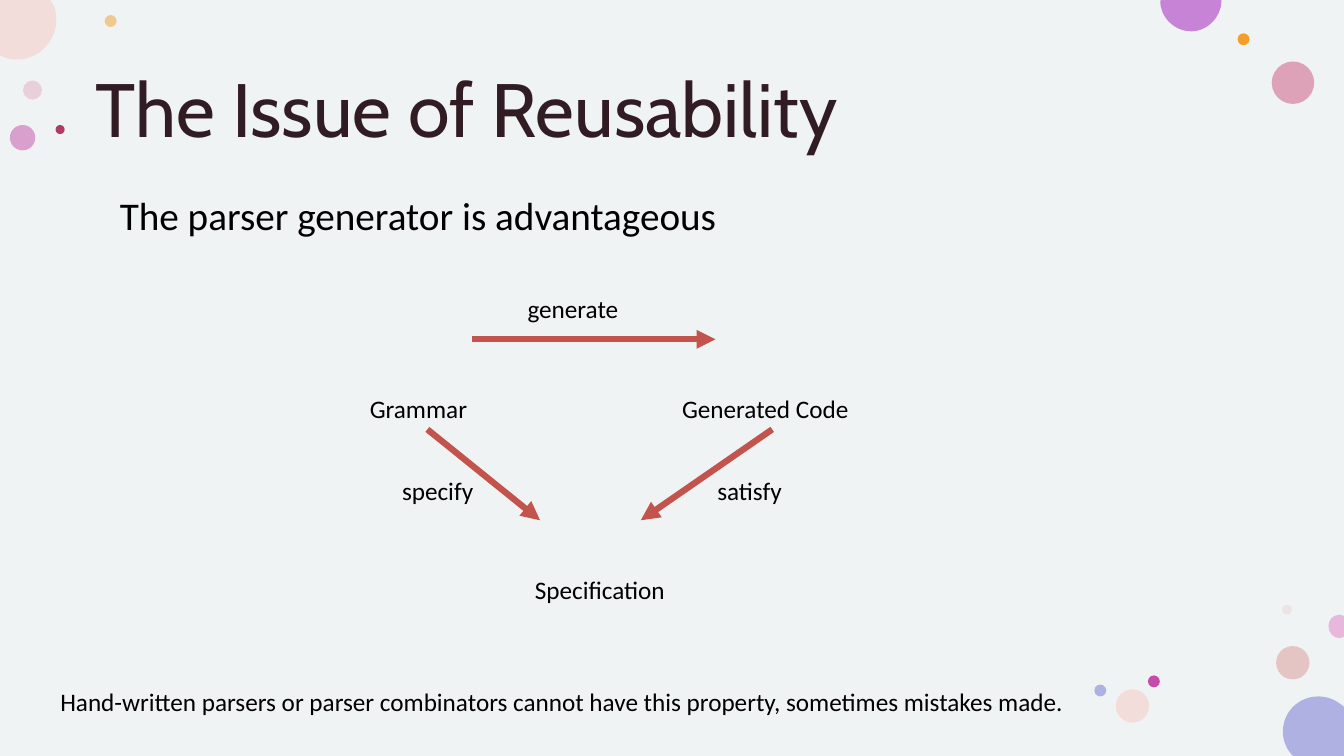
from lxml import etree
from pptx import Presentation
from pptx.dml.color import RGBColor
from pptx.enum.shapes import MSO_CONNECTOR, MSO_SHAPE
from pptx.enum.text import MSO_ANCHOR, PP_ALIGN
from pptx.oxml.ns import qn
from pptx.util import Cm, Pt

OVAL, RECT = MSO_SHAPE.OVAL, MSO_SHAPE.RECTANGLE
LINE = MSO_CONNECTOR.STRAIGHT
MID, TOP = MSO_ANCHOR.MIDDLE, MSO_ANCHOR.TOP
LEFT, CENTER = PP_ALIGN.LEFT, PP_ALIGN.CENTER

# Content, lengths in cm
WIDE, HIGH = 33.87, 19.05
BACK, RED = "F0F3F3", "C3544D"
TITLE = "The Issue of Reusability"
LEAD = "The parser generator is advantageous"
NOTE = ("Hand-written parsers or parser combinators cannot have this property, "
        "sometimes mistakes made.")
# Nodes: text, left, top, width
NODES = [
    ("Grammar", 9.07, 9.78, 3.38),
    ("Generated Code", 16.94, 9.78, 5.05),
    ("Specification", 13.23, 14.35, 4.65),
    (NOTE, 1.27, 17.17, 27.25),
]
# Links: label, label left, top, width, arrow start, arrow end
LINKS = [
    ("generate", 13.03, 7.26, 2.82, (11.89, 8.55), (18.03, 8.55)),
    ("specify", 9.86, 11.86, 2.34, (10.77, 10.82), (13.61, 13.11)),
    ("satisfy", 17.81, 11.86, 2.16, (19.46, 10.82), (16.15, 13.11)),
]
# Dots: left, top, size, colour, opacity in percent
DOTS = [
    (0.58, 2.03, 0.48, "E4ADC0", 50),
    (2.64, 0.38, 0.3, "F39E29", 50),
    (32.16, 16.28, 0.84, "DB9894", 50),
    (0.25, 3.15, 0.64, "C34DA8", 50),
    (32.05, 1.55, 1.07, "D684A1", 72),
    (31.19, 0.84, 0.3, "F39E29", 100),
    (32.31, 15.24, 0.25, "E3BEBE", 28),
    (28.93, 17.02, 0.3, "C34DA8", 100),
    (28.12, 17.37, 0.84, "F3DDDB", 100),
    (27.58, 17.25, 0.3, "B0B1E3", 100),
    (1.4, 3.15, 0.23, "B13B65", 100),
]
# Dots cut by the slide edge: colour, start, then steps;
# a step of one point is a line, one of three points a curve
CUTS = [
    ("B0B1E3", (33.22, 17.55), [
        [(33.48, 17.55), (33.68, 17.65), (33.87, 17.81)],
        [(33.87, 19.05)], [(32.59, 19.05)], [(32.54, 19)],
        [(32.41, 18.85), (32.33, 18.64), (32.33, 18.44)],
        [(32.33, 17.93), (32.74, 17.55), (33.22, 17.55)]]),
    ("F3DDDB", (0, 0), [
        [(1.27, 0)], [(1.35, 0.13)],
        [(1.4, 0.23), (1.42, 0.36), (1.42, 0.51)],
        [(1.42, 1.04), (0.97, 1.5), (0.43, 1.5)],
        [(0.28, 1.5), (0.15, 1.47), (0.05, 1.42)], [(0, 1.4)]]),
    ("C784D6", (29.26, 0), [
        [(30.78, 0)], [(30.78, 0.03)],
        [(30.78, 0.43), (30.43, 0.79), (30.02, 0.79)],
        [(29.59, 0.79), (29.24, 0.43), (29.24, 0.03)]]),
    ("E7B8DC", (33.76, 15.49), [
        [(33.87, 15.52)], [(33.87, 16.05)], [(33.76, 16.08)],
        [(33.6, 16.08), (33.48, 15.95), (33.48, 15.77)],
        [(33.48, 15.62), (33.6, 15.49), (33.76, 15.49)]]),
]

deck = Presentation()
deck.slide_width, deck.slide_height = Cm(WIDE), Cm(HIGH)
slide = deck.slides.add_slide(deck.slide_layouts[6])
shapes = slide.shapes


def tint(form, code):
    form.solid()
    form.fore_color.rgb = RGBColor.from_string(code)


def write(text, x, y, w, h=1.02, size=18, font="Calibri", color="000000",
          align=LEFT, anchor=TOP, wrap=True, space=1.0):
    frame = shapes.add_textbox(Cm(x), Cm(y), Cm(w), Cm(h)).text_frame
    frame.word_wrap = wrap
    frame.vertical_anchor = anchor
    para = frame.paragraphs[0]
    para.alignment = align
    para.line_spacing = space
    run = para.add_run()
    run.text = text
    run.font.size, run.font.name = Pt(size), font
    run.font.color.rgb = RGBColor.from_string(color)


def paint(shape, color, alpha=100):
    shape.shadow.inherit = False
    shape.line.fill.background()
    tint(shape.fill, color)
    if alpha < 100:
        tone = shape.fill._xPr.find(".//" + qn("a:srgbClr"))
        etree.SubElement(tone, qn("a:alpha"), val=str(alpha * 1000))


def block(kind, x, y, w, h, color, alpha=100):
    paint(shapes.add_shape(kind, Cm(x), Cm(y), Cm(w), Cm(h)), color, alpha)


def cut(color, start, steps):
    form = shapes.build_freeform(Cm(start[0]), Cm(start[1]))
    form.add_line_segments([(Cm(x), Cm(y)) for step in steps for x, y in step])
    shape = form.convert_to_shape()
    # Join each three lines of a curve step into one Bézier
    lines = iter(list(shape._element.iter(qn("a:lnTo"))))
    for step in steps:
        parts = [next(lines) for _ in step]
        if len(parts) == 3:
            curve = etree.Element(qn("a:cubicBezTo"))
            parts[0].addprevious(curve)
            for part in parts:
                curve.append(part[0])
                part.getparent().remove(part)
    paint(shape, color)


def arrow(start, end):
    link = shapes.add_connector(LINE, *map(Cm, start + end))
    tint(link.line.fill, RED)
    link.line.width = Pt(4.5)
    etree.SubElement(link.line._get_or_add_ln(), qn("a:tailEnd"), type="triangle")
    etree.SubElement(link._element.spPr, qn("a:effectLst"))


# Backdrop
block(RECT, 0, 0, WIDE, HIGH, BACK)
for x, y, size, color, alpha in DOTS:
    block(OVAL, x, y, size, size, color, alpha)
for item in CUTS:
    cut(*item)

# Heading
write(TITLE, 2.16, 1.02, 29.62, 3.68, size=54, font="Cabin", color="311C23",
      anchor=MID, space=0.9)
write(LEAD, 2.77, 4.7, 28.32, 1.44, size=28)

# Diagram and closing note
for node in NODES:
    write(*node)
for label, x, y, w, start, end in LINKS:
    arrow(start, end)
    write(label, x, y, w, 1.8, align=CENTER, wrap=False)

deck.save("out.pptx")
